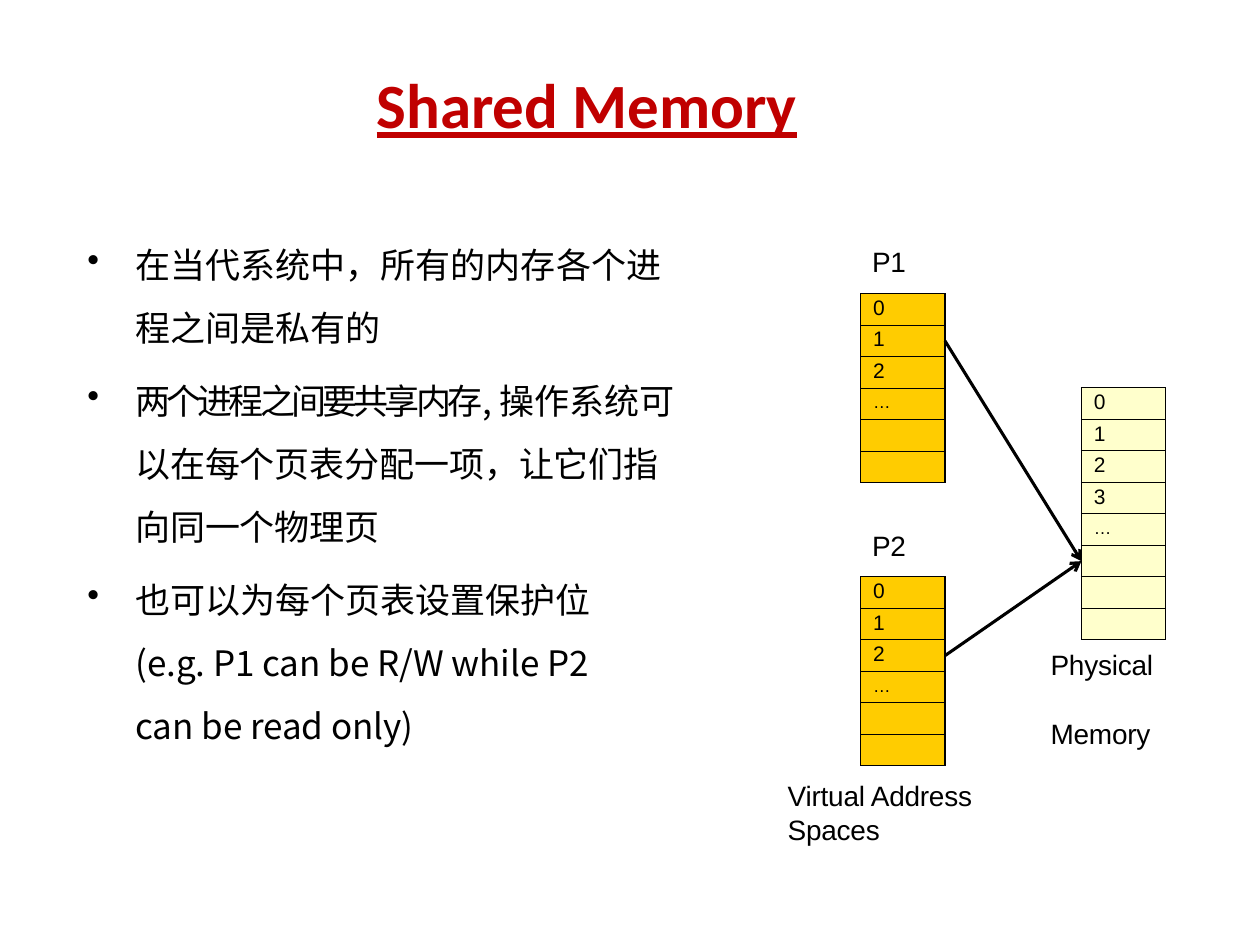
"""Build a slide on sharing memory between two processes."""
from dataclasses import dataclass

from lxml.etree import SubElement
from pptx import Presentation
from pptx.dml.color import RGBColor
from pptx.enum.shapes import MSO_CONNECTOR
from pptx.enum.text import MSO_ANCHOR, MSO_AUTO_SIZE, PP_ALIGN
from pptx.oxml.ns import qn
from pptx.slide import Slide
from pptx.table import _Cell
from pptx.text.text import TextFrame, _Run
from pptx.util import Cm, Pt

BLACK = RGBColor(0x00, 0x00, 0x00)
RED = RGBColor(0xC0, 0x00, 0x00)
GOLD = RGBColor(0xFF, 0xCC, 0x00)
CREAM = RGBColor(0xFF, 0xFF, 0xCC)
LATIN = "Arial"
CHINESE = "Noto Sans CJK SC"
ROW_HEIGHT = 0.635
PAGE_WIDTH = 1.7
VIRTUAL_LEFT = 17.35
PHYSICAL_LEFT = 21.8
PHYSICAL_TOP = 7.82


@dataclass
class PageTable:
    left: float
    top: float
    entries: list[str]
    empty_rows: int
    color: RGBColor


@dataclass
class Label:
    left: float
    top: float
    width: float
    height: float
    lines: list[str]
    line_gap: float = 0


PROCESS_ENTRIES = ["0", "1", "2", "…"]
P1 = PageTable(VIRTUAL_LEFT, 5.92, PROCESS_ENTRIES, 2, GOLD)
P2 = PageTable(VIRTUAL_LEFT, 11.63, PROCESS_ENTRIES, 2, GOLD)
PHYSICAL = PageTable(PHYSICAL_LEFT, PHYSICAL_TOP, ["0", "1", "2", "3", "…"], 3, CREAM)
SHARED_ROW = 5
MAPPINGS = [(P1, 1), (P2, 2)]
LABELS = [
    Label(17.58, 4.9, 0.85, 0.74, ["P1"]),
    Label(17.58, 10.62, 0.85, 0.74, ["P2"]),
    Label(21.18, 13.03, 2.3, 1.42, ["Physical", "Memory"], 20),
    Label(15.88, 15.67, 4.1, 1.42, ["Virtual Address", "Spaces"]),
]
POINTS = [
    [("在当代系统中，所有的内存各个进程之间是私有的", 0)],
    [
        ("两个进程之间要共享内存", -220),
        (", 操作系统可以在每个页表分配一项，让它们指向同一个物理页", -10),
    ],
    [("也可以为每个页表设置保护位\v(e.g. P1 can be R/W while P2\vcan be read only)", -5)],
]


def style_run(run: _Run, font: str, size: float, color: RGBColor, tracking: int = 0) -> None:
    run.font.name = font
    run.font.size = Pt(size)
    run.font.color.rgb = color
    properties = run.font._element
    properties.set("spc", str(tracking))
    SubElement(properties, qn("a:ea"), typeface=font)


def clear_insets(frame: TextFrame) -> None:
    frame.margin_left = frame.margin_right = frame.margin_bottom = 0
    frame.margin_top = Cm(0.03)
    frame.vertical_anchor = MSO_ANCHOR.TOP
    frame.auto_size = MSO_AUTO_SIZE.NONE
    frame.word_wrap = True


def place_title(slide: Slide) -> None:
    title = slide.shapes.title
    title.left, title.top, title.width, title.height = Cm(7.59), Cm(1.3), Cm(10.24), Cm(1.57)
    title.text_frame.text = "Shared Memory"
    clear_insets(title.text_frame)
    heading = title.text_frame.paragraphs[0]
    heading.alignment = PP_ALIGN.LEFT
    heading.space_before = Pt(1.1)
    style_run(heading.runs[0], "Calibri", 36, RED)
    heading.runs[0].font.bold = True
    heading.runs[0].font.underline = True


def add_points(slide: Slide) -> None:
    frame = slide.shapes.add_textbox(Cm(1.75), Cm(4.45), Cm(11.99), Cm(10.57)).text_frame
    clear_insets(frame)
    for index, parts in enumerate(POINTS):
        point = frame.add_paragraph() if index else frame.paragraphs[0]
        point.text = parts[0][0]
        for wording, _ in parts[1:]:
            point.add_run().text = wording
        trackings = [spacing for _, spacing in parts]
        for position, run in enumerate(point.runs):
            style_run(run, CHINESE, 20, BLACK, trackings[min(position, len(trackings) - 1)])
        properties = point._p.get_or_add_pPr()
        properties.set("marL", str(Cm(0.98)))
        properties.set("indent", str(-Cm(0.97)))
        SubElement(properties, qn("a:buChar"), char="•")
        point.line_spacing = 1.5
        point.space_before = Pt(5.8 if index else 1)


def add_label(slide: Slide, label: Label) -> None:
    frame = slide.shapes.add_textbox(
        Cm(label.left), Cm(label.top), Cm(label.width), Cm(label.height)
    ).text_frame
    clear_insets(frame)
    frame.text = "\n".join(label.lines)
    for index, line in enumerate(frame.paragraphs):
        line.space_before = Pt(label.line_gap if index else 0.9)
        style_run(line.runs[0], LATIN, 16, BLACK, -10)


def format_cell(cell: _Cell, entry: str, color: RGBColor) -> None:
    cell.margin_left = cell.margin_right = cell.margin_bottom = 0
    cell.margin_top = Cm(0.1 if entry == "…" else 0.05)
    cell.fill.solid()
    cell.fill.fore_color.rgb = color
    properties = cell._tc.get_or_add_tcPr()
    for index, side in enumerate(("a:lnL", "a:lnR", "a:lnT", "a:lnB")):
        border = SubElement(properties, qn(side), w=str(Pt(0.75)))
        SubElement(SubElement(border, qn("a:solidFill")), qn("a:srgbClr"), val=str(BLACK))
        properties.insert(index, border)
    line = cell.text_frame.paragraphs[0]
    if entry:
        line.text = entry
        line.space_before = Pt(2.8 if entry == "…" else 1.4)
        line._p.get_or_add_pPr().set("marL", str(Cm(0.25)))
        style_run(line.runs[0], LATIN, 10 if entry == "…" else 12, BLACK)
    else:
        SubElement(line._p, qn("a:endParaRPr"), sz="1000")


def add_page_table(slide: Slide, pages: PageTable) -> None:
    entries = pages.entries + [""] * pages.empty_rows
    table = slide.shapes.add_table(
        len(entries), 1, Cm(pages.left), Cm(pages.top),
        Cm(PAGE_WIDTH), Cm(ROW_HEIGHT * len(entries)),
    ).table
    table.first_row = table.horz_banding = False
    for index, entry in enumerate(entries):
        table.rows[index].height = Cm(ROW_HEIGHT)
        format_cell(table.cell(index, 0), entry, pages.color)


def row_middle(pages: PageTable, row: int) -> float:
    return pages.top + (row + 0.5) * ROW_HEIGHT


def add_mapping(slide: Slide, pages: PageTable, row: int) -> None:
    arrow = slide.shapes.add_connector(
        MSO_CONNECTOR.STRAIGHT,
        Cm(pages.left + PAGE_WIDTH), Cm(row_middle(pages, row)),
        Cm(PHYSICAL.left), Cm(row_middle(PHYSICAL, SHARED_ROW)),
    )
    arrow.line.color.rgb = BLACK
    arrow.line.width = Pt(1.75)
    SubElement(arrow.line._get_or_add_ln(), qn("a:tailEnd"), type="arrow")
    SubElement(arrow._element.spPr, qn("a:effectLst"))


def main() -> None:
    presentation = Presentation()
    presentation.slide_width, presentation.slide_height = Cm(25.4), Cm(19.05)
    slide = presentation.slides.add_slide(presentation.slide_layouts[5])
    place_title(slide)
    add_points(slide)
    for pages in (PHYSICAL, P1, P2):
        add_page_table(slide, pages)
    for pages, row in MAPPINGS:
        add_mapping(slide, pages, row)
    for label in LABELS:
        add_label(slide, label)
    presentation.save("out.pptx")


if __name__ == "__main__":
    main()
